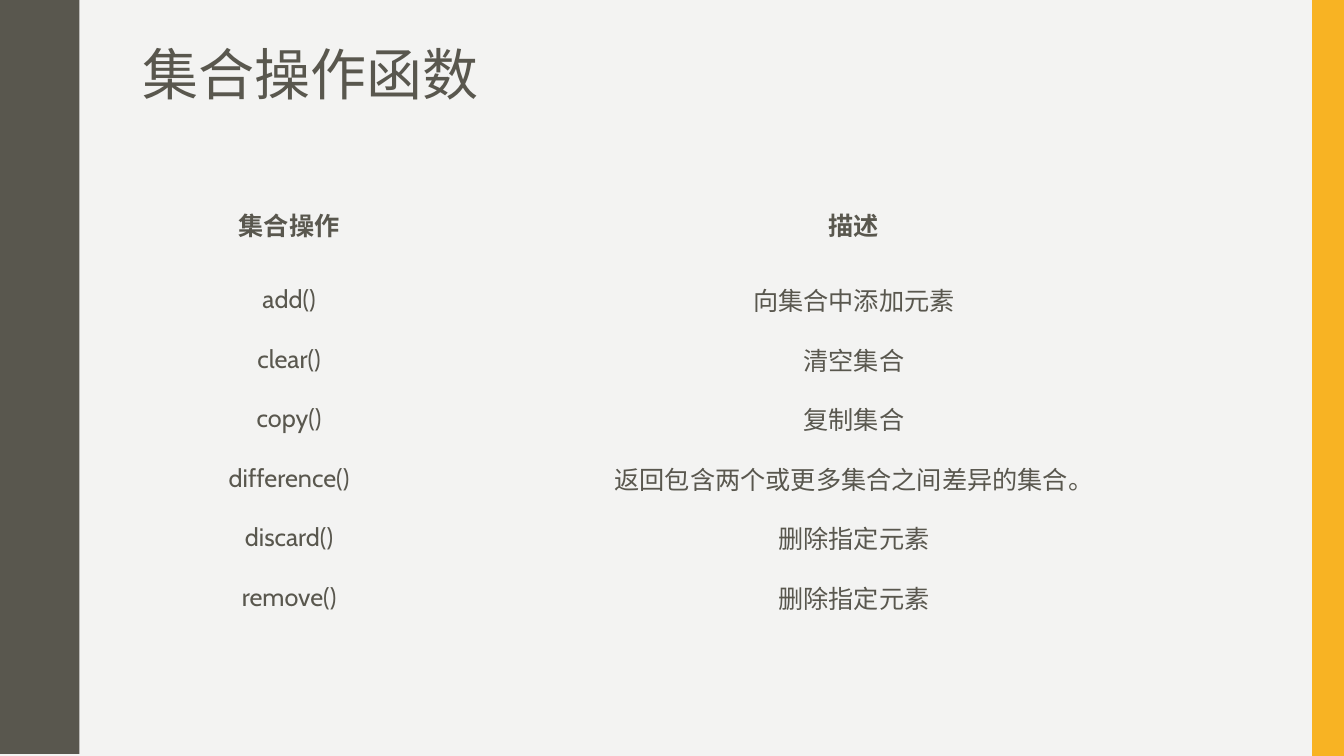
from lxml.etree import SubElement
from pptx import Presentation
from pptx.dml.color import RGBColor
from pptx.enum.shapes import MSO_SHAPE
from pptx.enum.text import MSO_ANCHOR, PP_ALIGN
from pptx.oxml.ns import qn
from pptx.util import Cm, Pt

COLORS = {"paper": "F3F3F2", "ink": "59574E", "accent": "F8B323"}
WIDTH, HEIGHT = 33.87, 19.05
WAVES = 5
# Trough-to-crest outline of the wavy edge, in cm
HALF_WAVE = [(1.98, 0), (1.98, 0.18), (2, 0.36), (2.03, 0.51), (2.06, 0.64),
             (2.11, 0.74), (2.16, 0.84), (2.22, 0.95), (2.27, 1.06),
             (2.32, 1.17), (2.36, 1.27), (2.41, 1.4), (2.44, 1.55),
             (2.46, 1.73), (2.46, 1.9)]
ROWS = [
    ("集合操作", "描述"),
    ("add()", "向集合中添加元素"),
    ("clear()", "清空集合"),
    ("copy()", "复制集合"),
    ("difference()", "返回包含两个或更多集合之间差异的集合。"),
    ("discard()", "删除指定元素"),
    ("remove()", "删除指定元素"),
]


def paint(sp, color):
    """Give a shape a flat fill without line or shadow."""
    sp.shadow.inherit = False
    sp.fill.solid()
    sp.fill.fore_color.rgb = RGBColor.from_string(COLORS[color])
    sp.line.fill.background()


def write(tf, text, size, font, bold=False):
    """Put one styled paragraph in a text frame and return it."""
    p = tf.paragraphs[0]
    p.text = text
    p.font.size = Pt(size)
    p.font.bold = bold
    p.font.color.rgb = RGBColor.from_string(COLORS["ink"])
    p.font.name = font
    ea = SubElement(p._p.pPr.find(qn("a:defRPr")), qn("a:ea"))
    ea.set("typeface", "Noto Sans CJK SC")
    return p


prs = Presentation()
prs.slide_width, prs.slide_height = Cm(WIDTH), Cm(HEIGHT)
s = prs.slides.add_slide(prs.slide_layouts[6])
s.background.fill.solid()
s.background.fill.fore_color.rgb = RGBColor.from_string(COLORS["paper"])

# Wavy left edge
period = HEIGHT / WAVES
wave = HALF_WAVE + [(x, period - y) for x, y in reversed(HALF_WAVE)]
edge = [(x, y + i * period) for i in range(WAVES) for x, y in wave]
fb = s.shapes.build_freeform(0, 0, scale=Cm(1))
fb.add_line_segments(edge + [(0, HEIGHT)], close=True)
paint(fb.convert_to_shape(), "ink")

# Right accent bar
bar = s.shapes.add_shape(MSO_SHAPE.RECTANGLE, Cm(33.07), 0, Cm(0.8), Cm(HEIGHT))
paint(bar, "accent")

# Title
tf = s.shapes.add_textbox(Cm(3.35), Cm(1.07), Cm(30.25), Cm(4.52)).text_frame
tf.word_wrap = True
write(tf, "集合操作函数", 40, "Noto Sans CJK SC").line_spacing = 0.9

# Table of set operations
table = s.shapes.add_table(len(ROWS), 2, Cm(3.35), Cm(4.5), Cm(28.47), Cm(11.3)).table
table.first_row = table.horz_banding = False
table.columns[0].width, table.columns[1].width = Cm(7.87), Cm(20.6)
for i, texts in enumerate(ROWS):
    table.rows[i].height = Cm(1.5 if i else 2.3)
    for cell, text in zip(table.rows[i].cells, texts):
        cell.fill.background()
        cell.vertical_anchor = MSO_ANCHOR.MIDDLE
        p = write(cell.text_frame, text, 18, "Cabin", bold=i == 0)
        p.alignment = PP_ALIGN.CENTER
        # Clear borders
        for side in reversed(("lnL", "lnR", "lnT", "lnB")):
            ln = cell._tc.tcPr.makeelement(qn(f"a:{side}"), {"w": "0"})
            SubElement(ln, qn("a:noFill"))
            cell._tc.tcPr.insert(0, ln)

prs.save("out.pptx")
